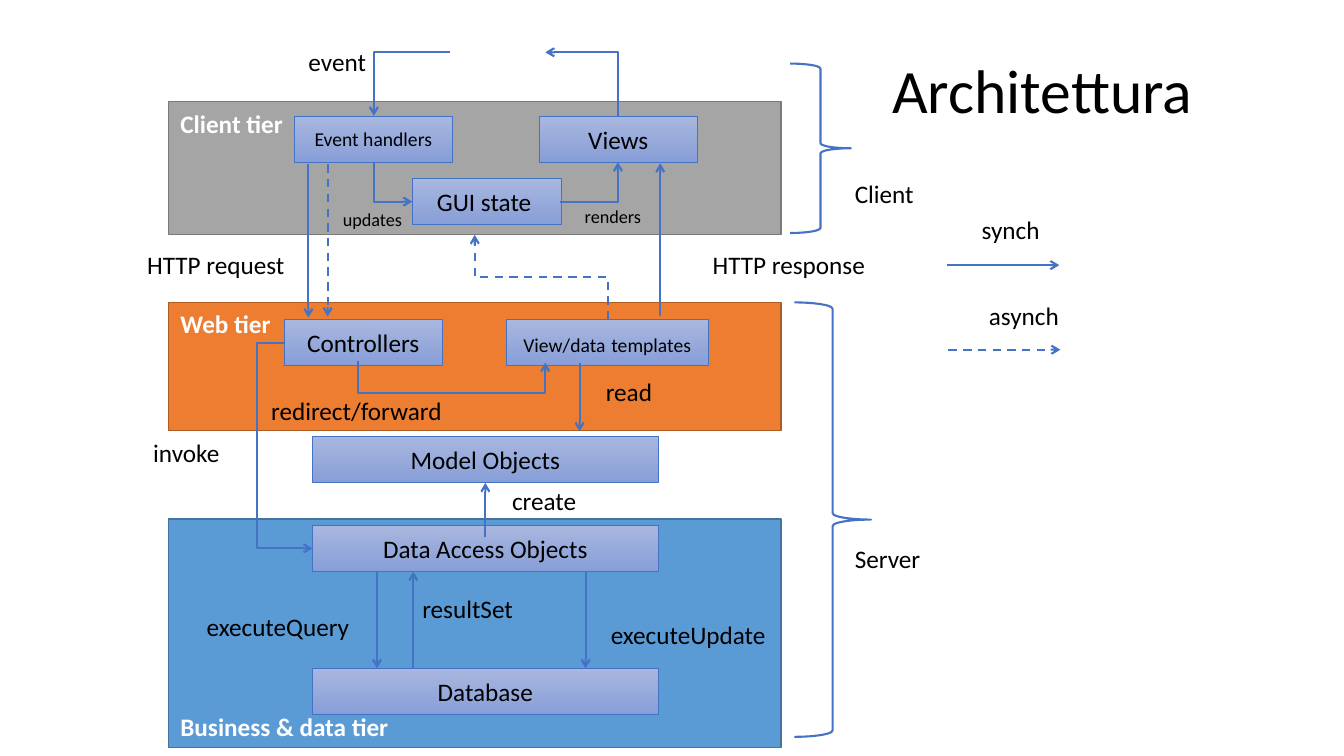
"""Build the "Architettura" slide: a three-tier web application diagram."""
from lxml import etree
from pptx import Presentation
from pptx.dml.color import RGBColor
from pptx.enum import dml, shapes, text
from pptx.oxml.ns import qn
from pptx.util import Pt

BLACK = RGBColor(0x00, 0x00, 0x00)
WHITE = RGBColor(0xFF, 0xFF, 0xFF)
BLUE = RGBColor(0x44, 0x72, 0xC4)
BOX_TOP = RGBColor(0xA8, 0xB7, 0xDF)
BOX_BOTTOM = RGBColor(0x88, 0x9E, 0xD7)
GRAY = RGBColor(0xA5, 0xA5, 0xA5)
GRAY_EDGE = RGBColor(0x7A, 0x7A, 0x7A)
ORANGE = RGBColor(0xED, 0x7D, 0x31)
ORANGE_EDGE = RGBColor(0xAF, 0x5C, 0x24)
SKY = RGBColor(0x5B, 0x9B, 0xD5)
SKY_EDGE = RGBColor(0x43, 0x73, 0x9E)

LEFT, CENTER, RIGHT = text.PP_ALIGN.LEFT, text.PP_ALIGN.CENTER, text.PP_ALIGN.RIGHT
TOP, MIDDLE, BOTTOM = text.MSO_ANCHOR.TOP, text.MSO_ANCHOR.MIDDLE, text.MSO_ANCHOR.BOTTOM

prs = Presentation()
prs.slide_width, prs.slide_height = Pt(960), Pt(540)
s = prs.slides.add_slide(prs.slide_layouts[6])


def write(sp, runs, color=BLACK, bold=False, align=LEFT, anchor=TOP, wrap=True):
    tf = sp.text_frame
    tf.word_wrap = wrap
    tf.vertical_anchor = anchor
    tf.margin_left = tf.margin_right = Pt(8.64)
    tf.margin_top = tf.margin_bottom = Pt(4.32)
    p = tf.paragraphs[0]
    p.alignment = align
    for words, size in runs:
        r = p.add_run()
        r.text = words
        r.font.name, r.font.size, r.font.bold = "Calibri", Pt(size), bold
        r.font.color.rgb = color
    return tf


def arrow(start, end, dashed=False, preset="line", vertical_first=False, adj=None):
    (x1, y1), (x2, y2) = start, end
    if vertical_first:
        cx, cy, dx, dy = (x1 + x2) / 2, (y1 + y2) / 2, (x2 - x1) / 2, (y2 - y1) / 2
        x1, y1, x2, y2 = cx + dy, cy - dx, cx - dy, cy + dx
    kind = shapes.MSO_CONNECTOR.STRAIGHT if preset == "line" else shapes.MSO_CONNECTOR.ELBOW
    c = s.shapes.add_connector(kind, Pt(x1), Pt(y1), Pt(x2), Pt(y2))
    if vertical_first:
        c.rotation = 270
    c.line.color.rgb, c.line.width = BLUE, Pt(1.5)
    if dashed:
        c.line.dash_style = dml.MSO_LINE.DASH
    sp_pr = c.element.spPr
    etree.SubElement(sp_pr.find(qn("a:ln")), qn("a:tailEnd"), type="arrow")
    etree.SubElement(sp_pr, qn("a:effectLst"))
    geom = sp_pr.find(qn("a:prstGeom"))
    geom.set("prst", preset)
    if adj is not None:
        etree.SubElement(geom.find(qn("a:avLst")), qn("a:gd"),
                         name="adj1", fmla=f"val {round(adj * 100000)}")
    return c


title = s.shapes.add_textbox(Pt(601.2), Pt(21.6), Pt(257.8), Pt(90))
tf = write(title, [("Architettura", 44)], align=RIGHT, anchor=MIDDLE)
tf.margin_left = tf.margin_right = Pt(7.2)
tf.paragraphs[0].line_spacing = 0.9

for name, top, height, fill, edge, anchor in [
    ("Business & data tier", 370.8, 163.4, SKY, SKY_EDGE, BOTTOM),
    ("Web tier", 216, 91.4, ORANGE, ORANGE_EDGE, TOP),
    ("Client tier", 72.7, 95, GRAY, GRAY_EDGE, TOP),
]:
    sp = s.shapes.add_shape(shapes.MSO_SHAPE.RECTANGLE, Pt(120.2), Pt(top), Pt(437.8), Pt(height))
    sp.shadow.inherit = False
    sp.fill.solid()
    sp.fill.fore_color.rgb = fill
    sp.line.color.rgb, sp.line.width = edge, Pt(1)
    write(sp, [(name, 18)], WHITE, True, anchor=anchor)

boxes = {}
for key, left, top, width, runs in [
    ("database", 223.2, 477.4, 247, [("Database", 18)]),
    ("dao", 223.2, 375.1, 247, [("Data Access Objects", 18)]),
    ("model", 223.2, 311.8, 247, [("Model Objects", 18)]),
    ("controllers", 203, 228.2, 113, [("Controllers", 18)]),
    ("templates", 361.4, 228.2, 144.7, [("View/data", 14), (" ", 18), ("templates", 14)]),
    ("state", 294.5, 127.4, 106.6, [("GUI state ", 18)]),
    ("handlers", 210.2, 82.8, 113, [("Event handlers", 14)]),
    ("views", 385.2, 82.8, 113, [("Views", 18)]),
]:
    sp = s.shapes.add_shape(shapes.MSO_SHAPE.RECTANGLE, Pt(left), Pt(top), Pt(width), Pt(33.1))
    sp.shadow.inherit = False
    sp.fill.gradient()
    sp.fill.gradient_angle = 270
    for stop, color in zip(sp.fill.gradient_stops, (BOX_TOP, BOX_BOTTOM)):
        stop.color.rgb = color
    sp.line.color.rgb, sp.line.width = BLUE, Pt(0.5)
    write(sp, runs, align=CENTER, anchor=MIDDLE)
    boxes[key] = sp

for start, end, dashed in [
    ((269.3, 408.2), (269.3, 477.4), False),
    ((418.3, 408.2), (418.3, 477.4), False),
    ((295.2, 477.4), (295.2, 408.2), False),
    ((414, 259.2), (414, 308.2), False),
    ((220.3, 117.4), (220.3, 226.8), False),
    ((234, 117.4), (234, 226.1), True),
    ((471.6, 225.4), (471.6, 116.6), False),
    ((676.1, 189.4), (756.7, 189.4), False),
    ((677.5, 249.8), (757.4, 249.8), True),
]:
    arrow(start, end, dashed)

create = arrow((346.7, 383.8), (346.7, 344.9))
create.end_connect(boxes["model"], 2)

for start, end, dashed, preset, vertical_first, adj in [
    ((203, 244.8), (223.2, 391.7), False, "bentConnector3", False, -0.95),
    ((255.6, 258), (389.5, 259), False, "bentConnector3", True, 22.8),
    ((321.8, 37.4), (267.1, 82.8), False, "bentConnector2", False, None),
    ((441.4, 82.8), (389.5, 37.4), False, "bentConnector2", True, None),
    ((267.1, 115.9), (294.5, 144), False, "bentConnector2", True, None),
    ((400.3, 144), (441.4, 115.9), False, "bentConnector2", False, None),
    ((434.2, 228.2), (339.1, 167.8), True, "bentConnector3", True, 0.5),
]:
    arrow(start, end, dashed, preset, vertical_first, adj)

for left, top, width, height in [(567.4, 216, 54.7, 310.3), (564.5, 45.4, 43.2, 121)]:
    sp = s.shapes.add_shape(shapes.MSO_SHAPE.RIGHT_BRACE, Pt(left), Pt(top), Pt(width), Pt(height))
    sp.shadow.inherit = False
    sp.fill.background()
    sp.line.color.rgb, sp.line.width = BLUE, Pt(1.5)

for label, left, top, width, size in [
    ("executeQuery", 139, 432, 121, 18),
    ("executeUpdate", 427.7, 437.8, 130, 18),
    ("resultSet", 293, 419.8, 84, 18),
    ("read", 424.1, 264.2, 52, 18),
    ("create", 357.1, 342, 65, 18),
    ("invoke", 100.8, 308.2, 67, 18),
    ("redirect/forward", 185, 277.9, 142, 18),
    ("HTTP request", 96.5, 173.5, 118, 18),
    ("event", 211.7, 28.8, 62, 18),
    ("HTTP response", 500.4, 173.5, 129, 18),
    ("updates", 236.2, 144.7, 62, 13),
    ("renders", 409, 142.6, 60, 13),
    ("Client", 601.9, 123.1, 62, 18),
    ("Server", 601.9, 383.8, 68, 18),
    ("synch", 692.6, 149, 61, 18),
    ("asynch", 697.7, 210.2, 70, 18),
]:
    sp = s.shapes.add_textbox(Pt(left), Pt(top), Pt(width), Pt(30.2 if size == 18 else 24.5))
    tf = write(sp, [(label, size)], wrap=False)
    tf.auto_size = text.MSO_AUTO_SIZE.SHAPE_TO_FIT_TEXT

prs.save("out.pptx")
